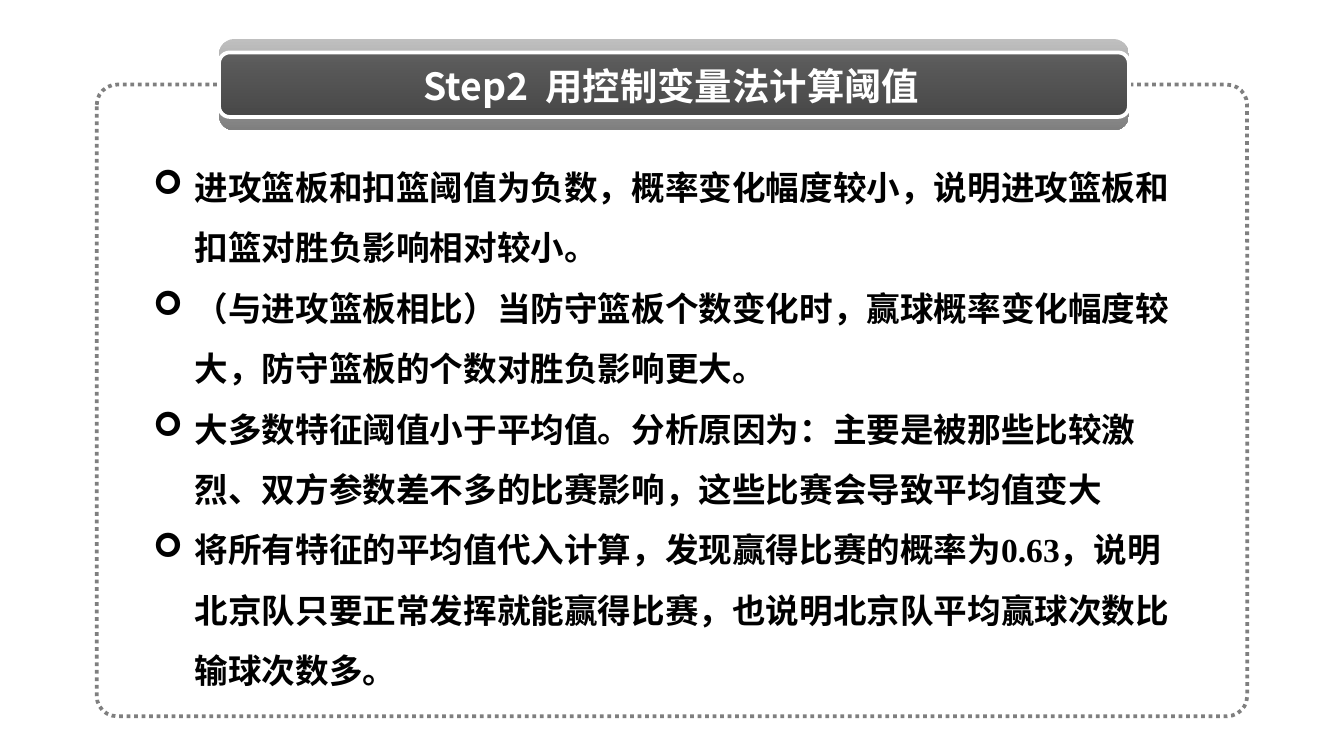
from dataclasses import dataclass

from lxml import etree
from pptx import Presentation
from pptx import util as u
from pptx.dml.color import RGBColor
from pptx.enum import dml, shapes, text
from pptx.oxml.ns import qn

# Content
TITLE = "Step2  用控制变量法计算阈值"
FINDINGS = [
    "进攻篮板和扣篮阈值为负数，概率变化幅度较小，说明进攻篮板和扣篮对胜负影响相对较小。",
    "（与进攻篮板相比）当防守篮板个数变化时，赢球概率变化幅度较大，防守篮板的个数对胜负影响更大。",
    "大多数特征阈值小于平均值。分析原因为：主要是被那些比较激烈、双方参数差不多的比赛影响，这些比赛会导致平均值变大",
    "将所有特征的平均值代入计算，发现赢得比赛的概率为0.63，说明北京队只要正常发挥就能赢得比赛，也说明北京队平均赢球次数比输球次数多。",
]


@dataclass(frozen=True)
class Theme:
    white: str = "FFFFFF"
    black: str = "000000"
    light: str = "BFBFBF"
    gray: str = "7F7F7F"
    title_size: int = 20
    body_size: int = 18
    title_font: str = "Noto Sans CJK SC"
    body_font: str = "Times New Roman"
    bullet_font: str = "Wingdings"
    line_width: int = 2


THEME = Theme()

# Layout in inches on a 16:9 page: each inner part is inset from its outer one
WIDTH = 10
HEIGHT = WIDTH * 9 / 16
FRAME = (0.72, 0.63, 8.56, 4.7)
BANNER = (1.63, 0.29, 6.77, 0.68)
BODY = (1.04, 1.04, 7.92, 4.14)
INDENT = 0.31


def inset(area, dx, dy):
    left, top, width, height = area
    return left + dx, top + dy, width - 2 * dx, height - 2 * dy


def place(area):
    return [u.Inches(length) for length in area]


def rgb(name):
    return RGBColor.from_string(name)


def add_panel(page, area, corner=None, fill=None, opacity=100, line=None):
    """Add a rectangle, rounded when a corner ratio is given."""
    kind = shapes.MSO_SHAPE.ROUNDED_RECTANGLE if corner else shapes.MSO_SHAPE.RECTANGLE
    panel = page.shapes.add_shape(kind, *place(area))
    panel.shadow.inherit = False
    if corner:
        panel.adjustments[0] = corner
    if fill:
        panel.fill.solid()
        panel.fill.fore_color.rgb = rgb(fill)
        color = panel.element.spPr.find(qn("a:solidFill"))[0]
        etree.SubElement(color, qn("a:alpha"), val=str(opacity * 1000))
    else:
        panel.fill.background()
    if line:
        panel.line.color.rgb = rgb(line)
        panel.line.width = u.Pt(THEME.line_width)
    else:
        panel.line.fill.background()
    return panel


def add_span(para, words, font, size, color):
    span = para.add_run()
    span.text = words
    span.font.name = font
    span.font.size = u.Pt(size)
    span.font.bold = True
    span.font.color.rgb = rgb(color)
    east_asian = etree.Element(qn("a:ea"), typeface=THEME.title_font)
    span.font._element.find(qn("a:latin")).addnext(east_asian)


def add_bullet(para, mark="➢"):
    """Add a hanging bullet and keep punctuation inside the margin."""
    props = para._p.get_or_add_pPr()
    props.set("marL", str(u.Inches(INDENT)))
    props.set("indent", str(-u.Inches(INDENT)))
    props.set("hangingPunct", "0")
    etree.SubElement(props, qn("a:buFont"), typeface=THEME.bullet_font, charset="2")
    etree.SubElement(props, qn("a:buChar"), char=mark)


def add_frame(page):
    frame = add_panel(page, FRAME, 0.032, line=THEME.gray)
    frame.line.dash_style = dml.MSO_LINE.ROUND_DOT
    add_panel(page, inset(FRAME, 0.14, 0.14), 0.035, THEME.white, 40)


def add_banner(page):
    back = add_panel(page, BANNER, 0.167)
    back.fill.gradient()
    back.fill.gradient_angle = 270
    for stop, color in zip(back.fill.gradient_stops, (THEME.light, THEME.gray)):
        stop.color.rgb = rgb(color)
    add_panel(page, inset(BANNER, 0, 0.1), 0.167, THEME.black, 48, THEME.white)

    # The title goes in front of the banner
    title = page.shapes.title
    title.left, title.top, title.width, title.height = place((2.96, 0.42, 4.07, 0.44))
    title.element.getparent().append(title.element)
    box = title.text_frame
    box.word_wrap = True
    box.auto_size = text.MSO_AUTO_SIZE.NONE
    box.vertical_anchor = text.MSO_ANCHOR.MIDDLE
    para = box.paragraphs[0]
    para.alignment = text.PP_ALIGN.CENTER
    add_span(para, TITLE, THEME.title_font, THEME.title_size, THEME.white)


def add_findings(page):
    box = add_panel(page, BODY, fill=THEME.white, opacity=82).text_frame
    box.word_wrap = True
    box.vertical_anchor = text.MSO_ANCHOR.TOP
    for index, finding in enumerate(FINDINGS):
        para = box.add_paragraph() if index else box.paragraphs[0]
        para.alignment = text.PP_ALIGN.LEFT
        para.line_spacing = 1.5
        add_bullet(para)
        add_span(para, finding, THEME.body_font, THEME.body_size, THEME.black)


def main():
    deck = Presentation()
    deck.slide_width, deck.slide_height = u.Inches(WIDTH), u.Inches(HEIGHT)
    page = deck.slides.add_slide(deck.slide_layouts[5])
    add_frame(page)
    add_banner(page)
    add_findings(page)
    deck.save("out.pptx")


if __name__ == "__main__":
    main()
